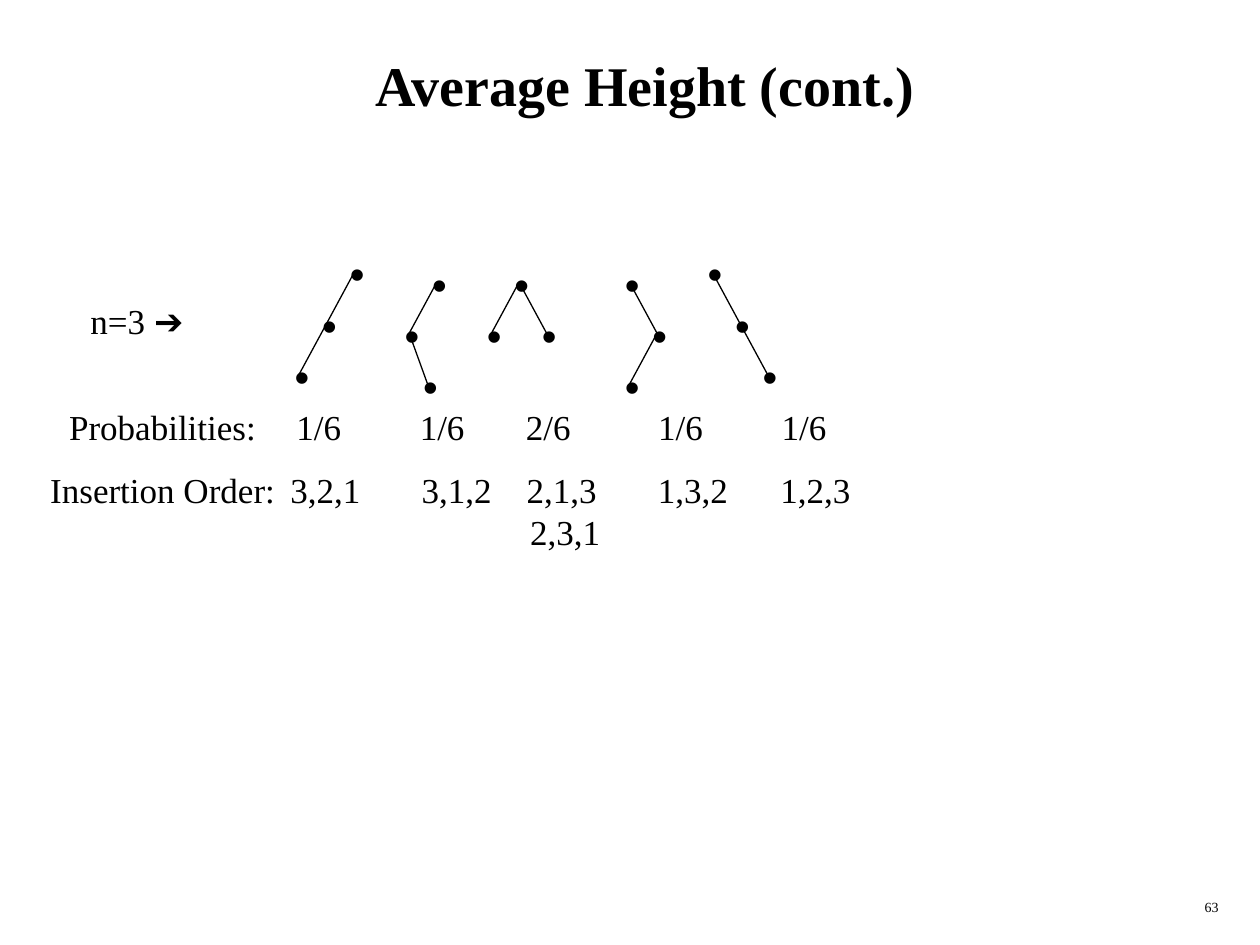
"""Build the slide on the average height of binary search trees with three nodes."""
import pptx
import pptx.dml.color
import pptx.enum.shapes
import pptx.enum.text
import pptx.oxml
import pptx.oxml.ns
import pptx.util

Pt = pptx.util.Pt
ALIGN = pptx.enum.text.PP_ALIGN

THEME = {
    "color": pptx.dml.color.RGBColor(0, 0, 0),
    "serif": "Times New Roman",
    "sans": "Arial",
    "title": 32,
    "node": 24,
    "body": 20,
    "number": 8,
    "edge": 0.75,
}

TITLE = "Average Height (cont.)"
SLIDE_NUMBER = "63"
LABEL = [("n=3 ", THEME["serif"]), ("➔", THEME["sans"])]

CHAIN = (0, 1)
FORK = (0, 0)
TREES = [
    {"root": (202.5, 155.5), "nodes": [(0, 0), (-1, 1), (-2, 2)], "parents": CHAIN},
    {"root": (249.6, 161.3), "nodes": [(0, 0), (-1, 1), (-0.33, 2)], "parents": CHAIN},
    {"root": (296.6, 161.3), "nodes": [(0, 0), (-1, 1), (1, 1)], "parents": FORK},
    {"root": (359.7, 161.3), "nodes": [(0, 0), (1, 1), (0, 2)], "parents": CHAIN},
    {"root": (407, 155.5), "nodes": [(0, 0), (1, 1), (2, 2)], "parents": CHAIN},
]
STEP_X, STEP_Y = 15.75, 29.15
NODE_BOX = (24.5, 36)
NODE_OFFSET = (9.7, 17.3)
INSET = 7.2

ROWS = [
    {
        "box": (32.4, 228.2, 449.3, 31.7),
        "lines": [
            (["Probabilities:", "1/6", "1/6", "2/6", "1/6", "1/6"],
             (169.5, 240, 300.6, 376.2, 446.8)),
        ],
    },
    {
        "box": (21.6, 264.2, 473.8, 55.4),
        "lines": [
            (["Insertion Order:", "3,2,1", "3,1,2", "2,1,3", "1,3,2", "1,2,3"],
             (166, 241, 301, 376, 446)),
            (["", "2,3,1"], (303,)),
        ],
    },
]


def add_text(paragraph, text, font=THEME["serif"], size=THEME["body"], bold=False,
             align=ALIGN.LEFT):
    """Add a formatted run to a paragraph."""
    paragraph.alignment = align
    run = paragraph.add_run()
    run.text = text
    run.font.name = font
    run.font.size = Pt(size)
    run.font.bold = bold
    run.font.color.rgb = THEME["color"]


def add_box(shapes, left, top, width, height, wrap=True):
    """Add an empty text box and return its text frame."""
    box = shapes.add_textbox(Pt(left), Pt(top), Pt(width), Pt(height))
    box.text_frame.word_wrap = wrap
    return box.text_frame


def set_tabs(paragraph, positions):
    """Give a paragraph left tab stops, measured from the text edge."""
    tab_list = pptx.oxml.parse_xml(f"<a:tabLst {pptx.oxml.ns.nsdecls('a')}/>")
    for position in positions:
        tab = tab_list.makeelement(pptx.oxml.ns.qn("a:tab"), {"pos": str(Pt(position)), "algn": "l"})
        tab_list.append(tab)
    paragraph._p.get_or_add_pPr().append(tab_list)


def add_edge(shapes, start, end):
    """Add a thin straight edge between two points."""
    edge = shapes.add_connector(pptx.enum.shapes.MSO_CONNECTOR.STRAIGHT,
                                *(Pt(value) for value in (*start, *end)))
    edge.line.color.rgb = THEME["color"]
    edge.line.width = Pt(THEME["edge"])
    properties = edge._element.spPr
    properties.append(properties.makeelement(pptx.oxml.ns.qn("a:effectLst"), {}))


def add_tree(shapes, root, nodes, parents):
    """Draw the edges and nodes of one tree."""
    points = [(root[0] + column * STEP_X, root[1] + level * STEP_Y) for column, level in nodes]
    for parent, child in zip(parents, points[1:]):
        add_edge(shapes, points[parent], child)
    for x, y in points:
        frame = add_box(shapes, x - NODE_OFFSET[0], y - NODE_OFFSET[1], *NODE_BOX, wrap=False)
        add_text(frame.paragraphs[0], "•", font=THEME["sans"], size=THEME["node"])


def add_row(shapes, box, lines):
    """Add a row of values lined up under the trees."""
    frame = add_box(shapes, *box)
    for index, (cells, columns) in enumerate(lines):
        paragraph = frame.add_paragraph() if index else frame.paragraphs[0]
        set_tabs(paragraph, [column - box[0] - INSET for column in columns])
        add_text(paragraph, "\t".join(cells))


def main():
    """Assemble and save the slide."""
    presentation = pptx.Presentation()
    presentation.slide_width, presentation.slide_height = Pt(720), Pt(540)
    slide = presentation.slides.add_slide(presentation.slide_layouts[5])

    title = slide.shapes.title
    title.left, title.top, title.width, title.height = Pt(28), Pt(12.2), Pt(681), Pt(72)
    title.text_frame.vertical_anchor = pptx.enum.text.MSO_ANCHOR.MIDDLE
    add_text(title.text_frame.paragraphs[0], TITLE, size=THEME["title"], bold=True,
             align=ALIGN.CENTER)

    group = slide.shapes.add_group_shape()
    for tree in TREES:
        add_tree(group.shapes, **tree)

    label = add_box(slide.shapes, 44.6, 167.8, 70.6, 31.7, wrap=False)
    for text, font in LABEL:
        add_text(label.paragraphs[0], text, font=font)
    for row in ROWS:
        add_row(slide.shapes, **row)

    number = add_box(slide.shapes, 553.7, 509.8, 149.8, 18)
    add_text(number.paragraphs[0], SLIDE_NUMBER, size=THEME["number"], align=ALIGN.RIGHT)
    presentation.save("out.pptx")


if __name__ == "__main__":
    main()
